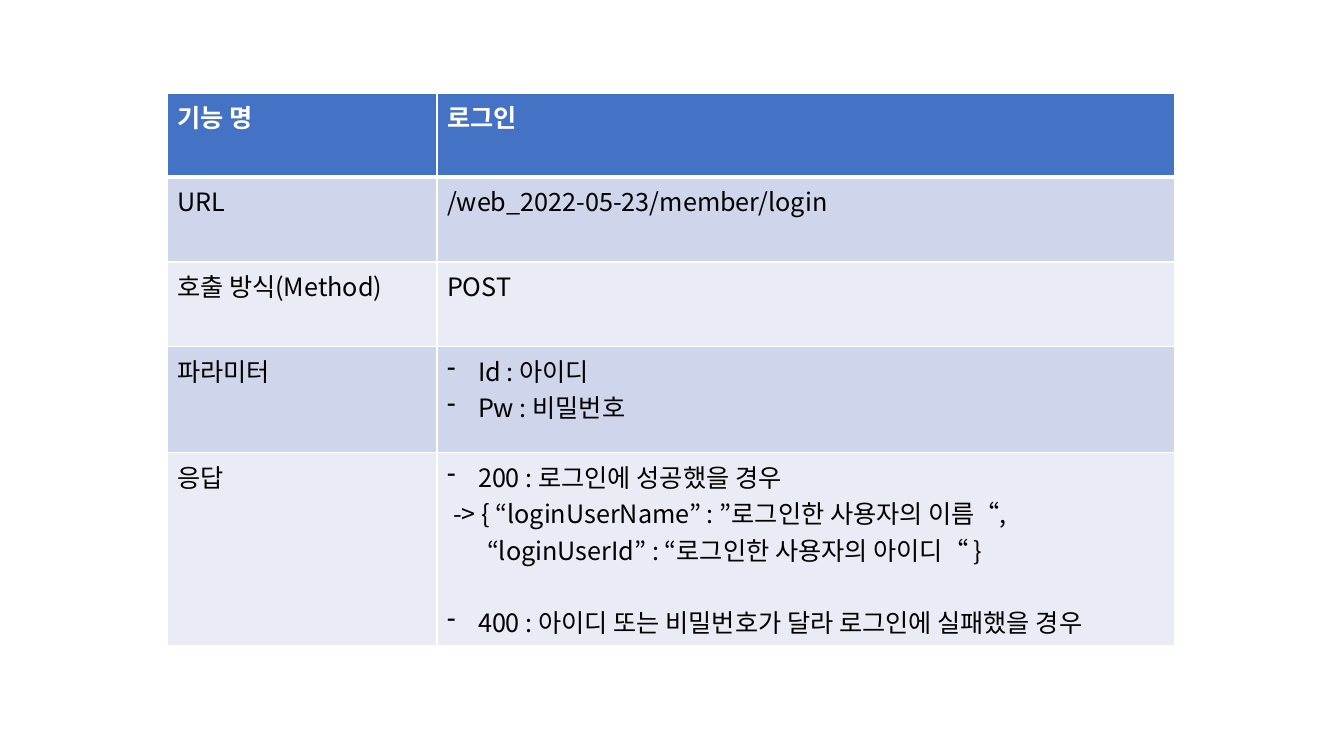
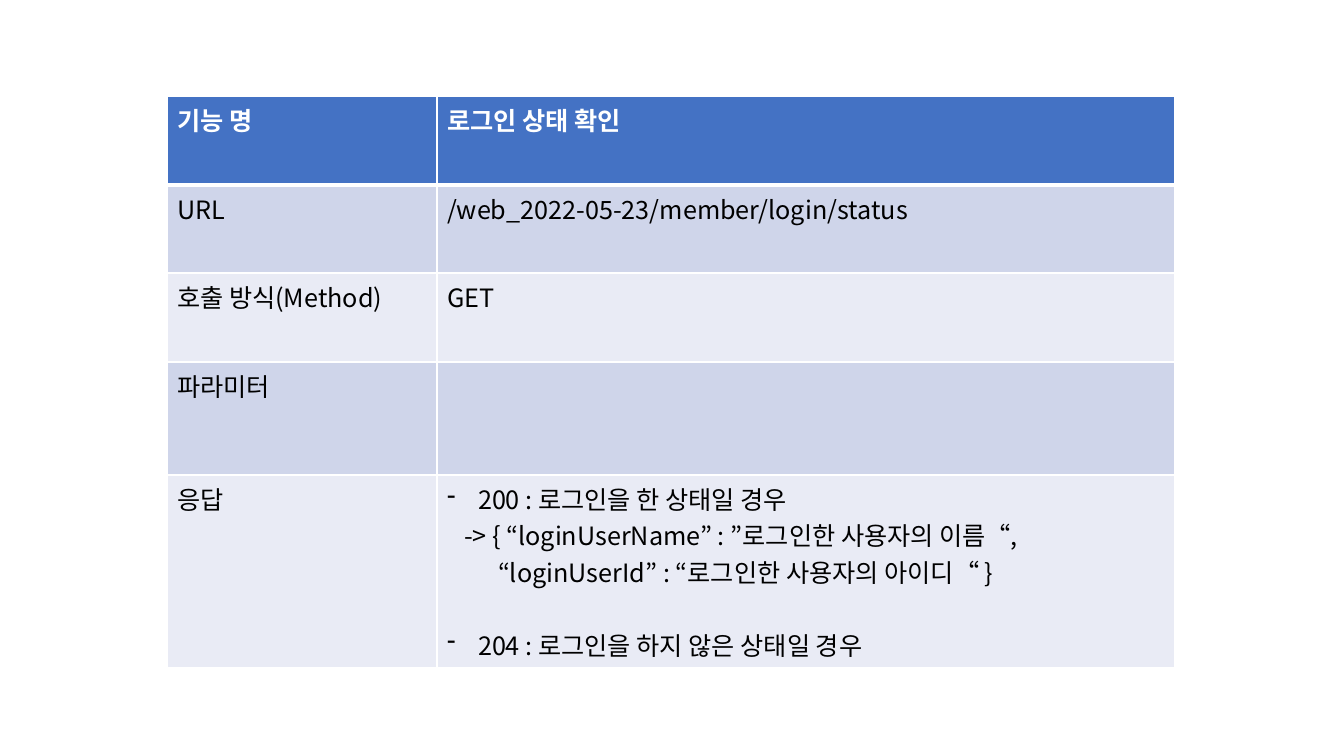
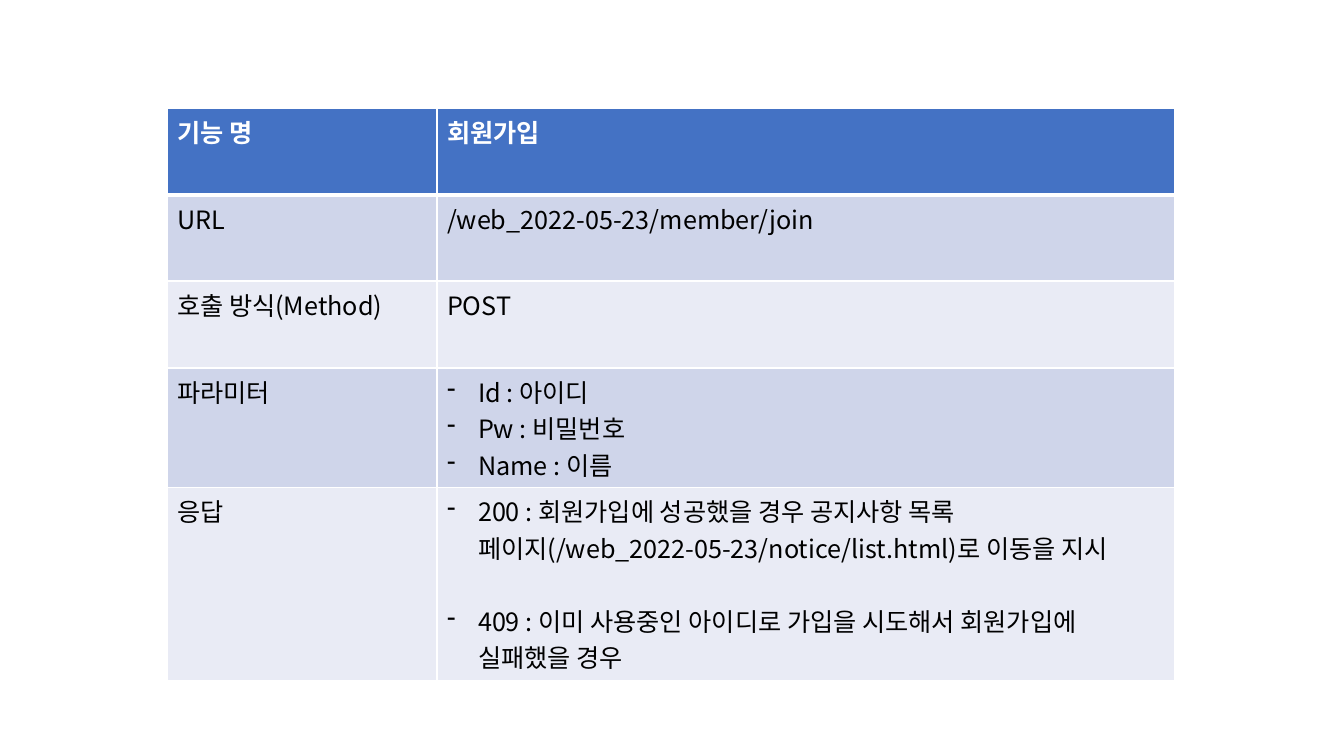
from dataclasses import dataclass
from itertools import pairwise

from lxml.etree import SubElement
from pptx import Presentation
from pptx.dml.color import RGBColor
from pptx.oxml.ns import qn
from pptx.slide import Slide
from pptx.table import _Cell as Cell
from pptx.util import Emu, Pt

PIXEL = 914400 / 100.8
FONT = "Noto Sans CJK KR"
TEXT_SIZE = 18
BLANK_LINE = 26
BULLET_INDENT = 31
TABLE_LEFT = 167
COLUMN_WIDTHS = (270, 738)
LABELS = ("기능 명", "URL", "호출 방식(Method)", "파라미터", "응답")
COLORS = {
    "header": "4472C4",
    "odd": "CFD5EA",
    "even": "E9EBF5",
    "white": "FFFFFF",
    "black": "000000",
}


@dataclass(frozen=True)
class Line:
    text: str
    bullet: bool = False
    indent: int = 0
    gap_before: bool = False


@dataclass(frozen=True)
class Endpoint:
    row_edges: tuple[int, ...]
    name: str
    url: str
    method: str
    parameters: tuple[Line, ...]
    responses: tuple[Line, ...]

    def values(self) -> list[tuple[Line, ...]]:
        heading = [(Line(text),) for text in (self.name, self.url, self.method)]
        return [*heading, self.parameters, self.responses]


def px(length: float) -> Emu:
    return Emu(round(length * PIXEL))


def bullet(text: str, gap_before: bool = False) -> Line:
    return Line(text, bullet=True, gap_before=gap_before)


def login_body(indent: int) -> tuple[Line, Line]:
    return (
        Line("-> { “loginUserName” : ”로그인한 사용자의 이름“,", indent=indent),
        Line("“loginUserId” : “로그인한 사용자의 아이디“ }", indent=indent + 34),
    )


ID_AND_PASSWORD = (bullet("Id : 아이디"), bullet("Pw : 비밀번호"))
ENDPOINTS = (
    Endpoint(
        (93, 177, 262, 347, 453, 646),
        "로그인",
        "/web_2022-05-23/member/login",
        "POST",
        ID_AND_PASSWORD,
        (
            bullet("200 : 로그인에 성공했을 경우"),
            *login_body(6),
            bullet("400 : 아이디 또는 비밀번호가 달라 로그인에 실패했을 경우", gap_before=True),
        ),
    ),
    Endpoint(
        (96, 185, 273, 362, 475, 667),
        "로그인 상태 확인",
        "/web_2022-05-23/member/login/status",
        "GET",
        (),
        (
            bullet("200 : 로그인을 한 상태일 경우"),
            *login_body(17),
            bullet("204 : 로그인을 하지 않은 상태일 경우", gap_before=True),
        ),
    ),
    Endpoint(
        (108, 195, 281, 368, 487, 680),
        "회원가입",
        "/web_2022-05-23/member/join",
        "POST",
        (*ID_AND_PASSWORD, bullet("Name : 이름")),
        (
            bullet(
                "200 : 회원가입에 성공했을 경우 공지사항 목록 페이지"
                "(/web_2022-05-23/notice/list.html)로 이동을 지시"
            ),
            bullet(
                "409 : 이미 사용중인 아이디로 가입을 시도해서 회원가입에 실패했을 경우",
                gap_before=True,
            ),
        ),
    ),
)


def set_borders(cell: Cell, is_header: bool, below_header: bool) -> None:
    properties = cell._tc.get_or_add_tcPr()
    thick_side = "lnB" if is_header else "lnT" if below_header else ""
    for side in ("lnL", "lnR", "lnT", "lnB"):
        width = Pt(3 if side == thick_side else 1)
        border = SubElement(properties, qn(f"a:{side}"), w=str(width))
        fill = SubElement(border, qn("a:solidFill"))
        SubElement(fill, qn("a:srgbClr"), val=COLORS["white"])


def write_lines(cell: Cell, lines: tuple[Line, ...], is_header: bool) -> None:
    text_frame = cell.text_frame
    text_frame.text = "\n".join(line.text for line in lines)
    for paragraph, line in zip(text_frame.paragraphs, lines):
        if line.gap_before:
            paragraph.space_before = Pt(BLANK_LINE)
        properties = paragraph._p.get_or_add_pPr()
        if line.bullet:
            properties.set("marL", str(px(BULLET_INDENT)))
            properties.set("indent", str(-px(BULLET_INDENT)))
            SubElement(properties, qn("a:buFontTx"))
            SubElement(properties, qn("a:buChar"), char="-")
        elif line.indent:
            properties.set("marL", str(px(line.indent)))
        for run in paragraph.runs:
            run.font.size = Pt(TEXT_SIZE)
            run.font.bold = is_header
            run.font.name = FONT
            color = COLORS["white" if is_header else "black"]
            run.font.color.rgb = RGBColor.from_string(color)
            SubElement(run._r.get_or_add_rPr(), qn("a:ea"), typeface=FONT)


def draw_endpoint(slide: Slide, endpoint: Endpoint) -> None:
    edges = endpoint.row_edges
    table = slide.shapes.add_table(
        len(LABELS),
        len(COLUMN_WIDTHS),
        px(TABLE_LEFT),
        px(edges[0]),
        px(sum(COLUMN_WIDTHS)),
        px(edges[-1] - edges[0]),
    ).table
    for column, width in zip(table.columns, COLUMN_WIDTHS):
        column.width = px(width)
    for row, (top, bottom) in zip(table.rows, pairwise(edges)):
        row.height = px(bottom - top)
    for index, (label, value) in enumerate(zip(LABELS, endpoint.values())):
        is_header = index == 0
        band = "header" if is_header else "odd" if index % 2 else "even"
        for column_index, lines in enumerate(((Line(label),), value)):
            cell = table.cell(index, column_index)
            set_borders(cell, is_header, index == 1)
            cell.fill.solid()
            cell.fill.fore_color.rgb = RGBColor.from_string(COLORS[band])
            write_lines(cell, lines, is_header)


def main() -> None:
    presentation = Presentation()
    presentation.slide_width = px(1344)
    presentation.slide_height = px(756)
    blank_layout = presentation.slide_layouts[6]
    for endpoint in ENDPOINTS:
        draw_endpoint(presentation.slides.add_slide(blank_layout), endpoint)
    presentation.save("out.pptx")


main()
